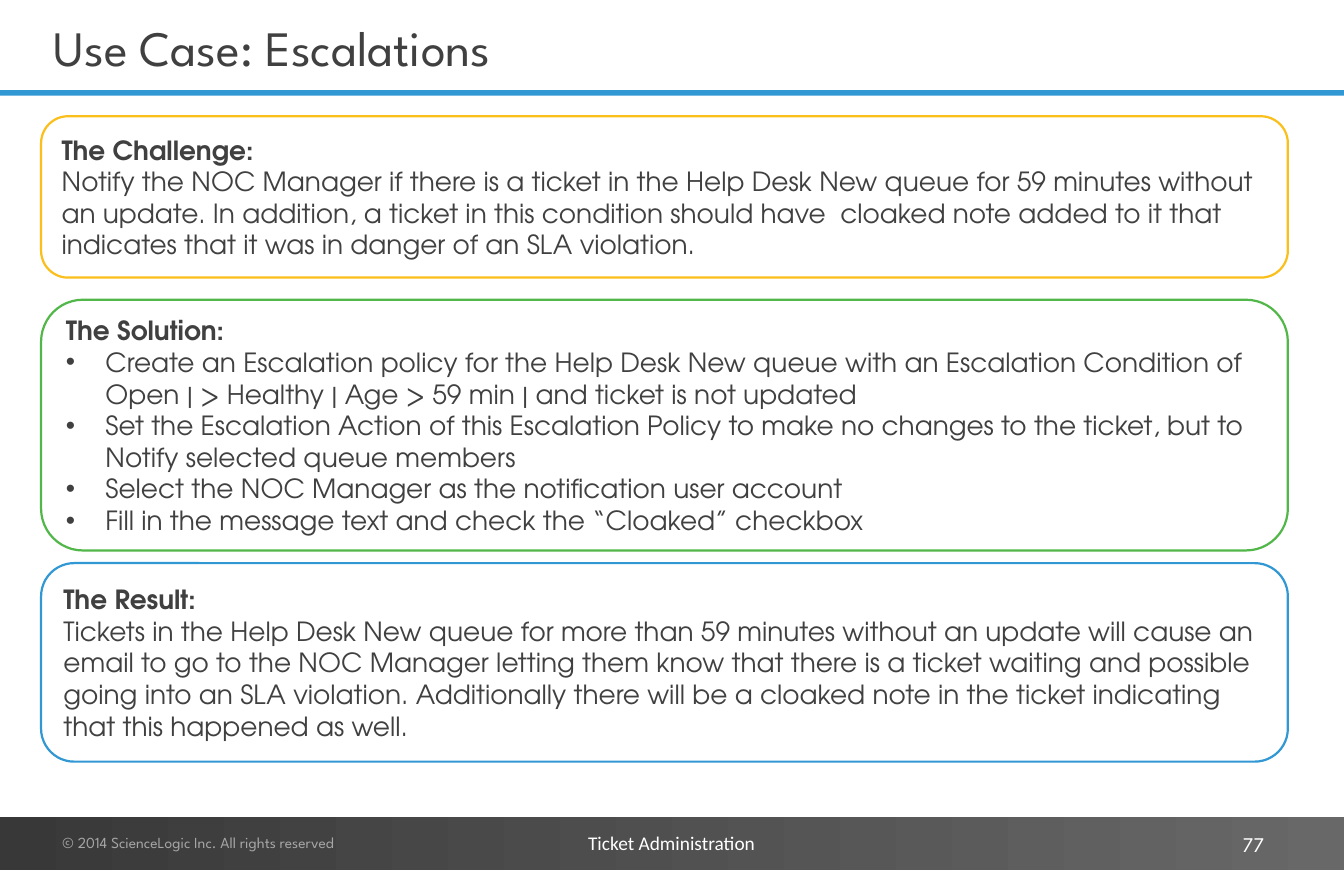
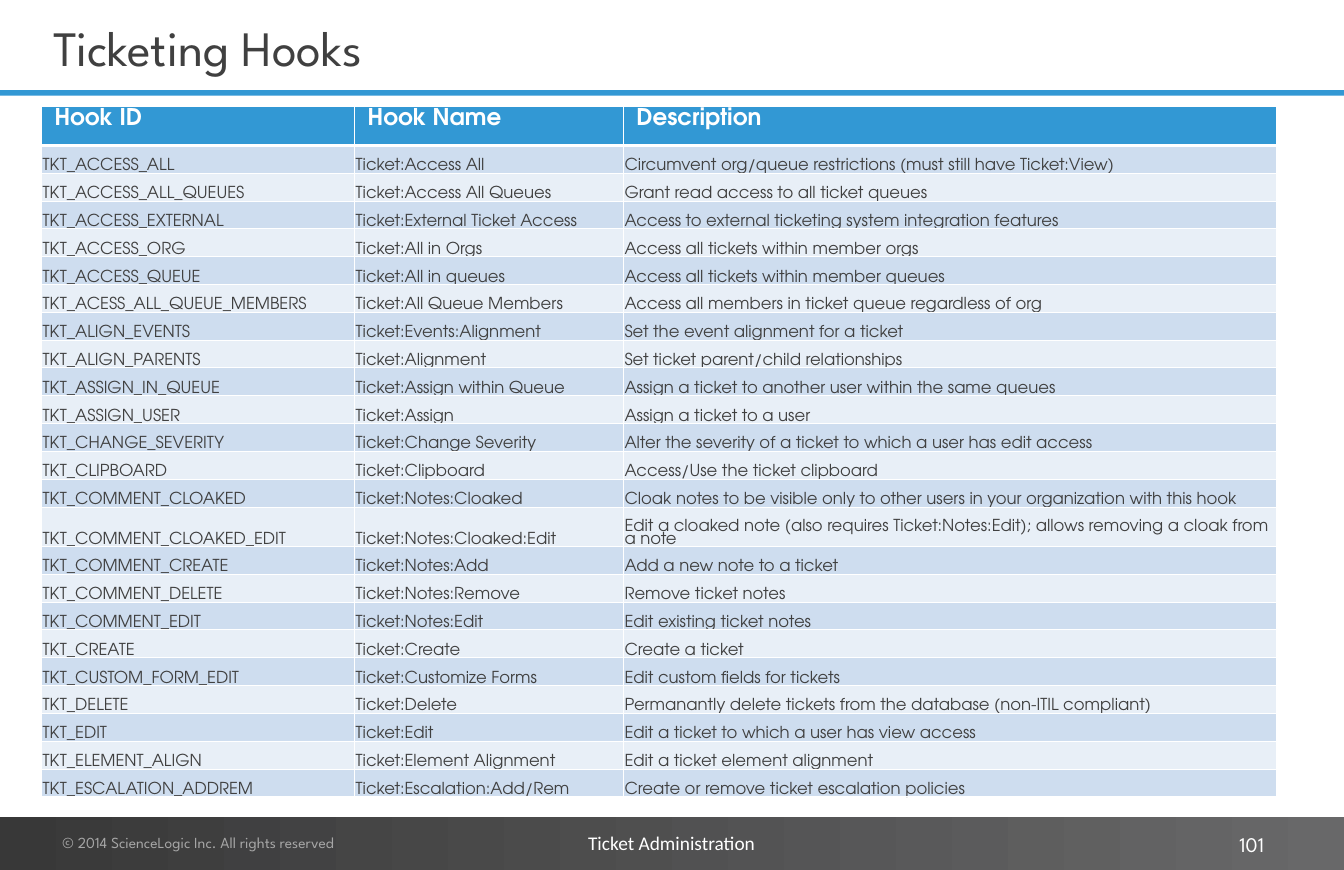
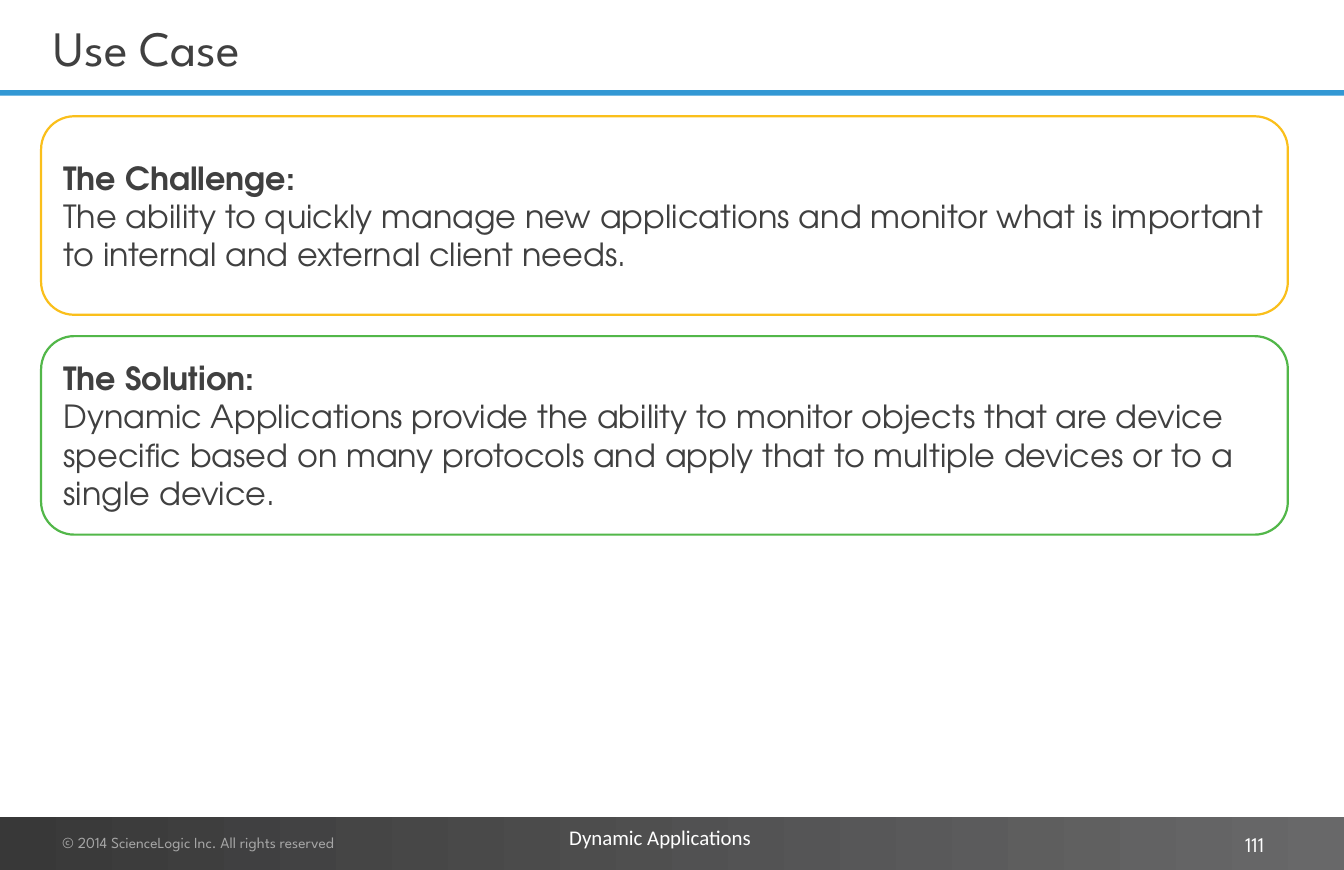
from lxml import etree
from pptx import Presentation
from pptx.dml.color import RGBColor
from pptx.enum.shapes import MSO_SHAPE
from pptx.enum.text import MSO_ANCHOR, MSO_AUTO_SIZE, PP_ALIGN
from pptx.oxml.ns import qn
from pptx.util import Emu, Pt

RECT, ROUND_RECT = MSO_SHAPE.RECTANGLE, MSO_SHAPE.ROUNDED_RECTANGLE
TOP, MIDDLE, BOTTOM = MSO_ANCHOR.TOP, MSO_ANCHOR.MIDDLE, MSO_ANCHOR.BOTTOM
LEFT, RIGHT = PP_ALIGN.LEFT, PP_ALIGN.RIGHT
FIT_NONE, FIT_SHAPE = MSO_AUTO_SIZE.NONE, MSO_AUTO_SIZE.SHAPE_TO_FIT_TEXT

PX = 9144  # EMU per px, 100 px to the inch
SLIDE_W, SLIDE_H = 1700, 1100
TITLE_LAYOUT = 5

COLORS = {
    "white": "FFFFFF", "text": "404040", "muted": "A6A6A6",
    "blue": "3298D4", "yellow": "FABF1B", "green": "52B749",
    "footer_start": "383838", "footer_end": "686869",
    "row_dark": "CEDDEF", "row_light": "E8EFF7",
}
TITLE_FONT, BODY_FONT, SECTION_FONT = "League Spartan", "TeX Gyre Adventor", "Calibri"

INSETS = (16, 8, 16, 8)
PANEL_LEFT, PANEL_W = 52, 1577
BULLET_INDENT = 50

COPYRIGHT = "© 2014 ScienceLogic Inc. All rights reserved"
TICKET_SECTION = {"text": "Ticket Administration", "at": (734, 1046, 233, 40),
                  "size": 17.6, "insets": (10, 5, 10, 5)}
APP_SECTION = {"text": "Dynamic Applications", "at": (704, 1035, 265, 48),
               "size": 19, "insets": INSETS}

ESCALATION_PANELS = [
    {"top": 147, "height": 204, "color": "yellow", "size": 24, "heading": "The Challenge:",
     "body": ["Notify the NOC Manager if there is a ticket in the Help Desk New queue for 59 minutes "
              "without an update. In addition, a ticket in this condition should have  cloaked note "
              "added to it that indicates that it was in danger of an SLA violation."]},
    {"top": 379, "height": 317, "color": "green", "size": 24, "heading": "The Solution:",
     "bulleted": True,
     "body": ["Create an Escalation policy for the Help Desk New queue with an Escalation Condition "
              "of Open | > Healthy | Age > 59 min | and ticket is not updated",
              "Set the Escalation Action of this Escalation Policy to make no changes to the ticket, "
              "but to Notify selected queue members",
              "Select the NOC Manager as the notification user account",
              "Fill in the message text and check the “Cloaked” checkbox"]},
    {"top": 712, "height": 251, "color": "blue", "size": 24, "heading": "The Result:",
     "body": ["Tickets in the Help Desk New queue for more than 59 minutes without an update will "
              "cause an email to go to the NOC Manager letting them know that there is a ticket "
              "waiting and possible going into an SLA violation. Additionally there will be a cloaked "
              "note in the ticket indicating that this happened as well."]},
]
APPLICATION_PANELS = [
    {"top": 147, "height": 251, "color": "yellow", "size": 29, "heading": "The Challenge:",
     "body": ["The ability to quickly manage new applications and monitor what is important to "
              "internal and external client needs."]},
    {"top": 425, "height": 251, "color": "green", "size": 29, "heading": "The Solution:",
     "body": ["Dynamic Applications provide the ability to monitor objects that are device specific "
              "based on many protocols and apply that to multiple devices or to a single device."]},
]

HOOK_HEADER = ("Hook ID", "Hook Name", "Description")
HOOKS = [
    ("TKT_ACCESS_ALL", "Ticket:Access All",
     "Circumvent org/queue restrictions (must still have Ticket:View)"),
    ("TKT_ACCESS_ALL_QUEUES", "Ticket:Access All Queues", "Grant read access to all ticket queues"),
    ("TKT_ACCESS_EXTERNAL", "Ticket:External Ticket Access",
     "Access to external ticketing system integration features"),
    ("TKT_ACCESS_ORG", "Ticket:All in Orgs", "Access all tickets within member orgs"),
    ("TKT_ACCESS_QUEUE", "Ticket:All in queues", "Access all tickets within member queues"),
    ("TKT_ACESS_ALL_QUEUE_MEMBERS", "Ticket:All Queue Members",
     "Access all members in ticket queue regardless of org"),
    ("TKT_ALIGN_EVENTS", "Ticket:Events:Alignment", "Set the event alignment for a ticket"),
    ("TKT_ALIGN_PARENTS", "Ticket:Alignment", "Set ticket parent/child relationships"),
    ("TKT_ASSIGN_IN_QUEUE", "Ticket:Assign within Queue",
     "Assign a ticket to another user within the same queues"),
    ("TKT_ASSIGN_USER", "Ticket:Assign", "Assign a ticket to a user"),
    ("TKT_CHANGE_SEVERITY", "Ticket:Change Severity",
     "Alter the severity of a ticket to which a user has edit access"),
    ("TKT_CLIPBOARD", "Ticket:Clipboard", "Access/Use the ticket clipboard"),
    ("TKT_COMMENT_CLOAKED", "Ticket:Notes:Cloaked",
     "Cloak notes to be visible only to other users in your organization with this hook"),
    ("TKT_COMMENT_CLOAKED_EDIT", "Ticket:Notes:Cloaked:Edit",
     "Edit a cloaked note (also requires Ticket:Notes:Edit); allows removing a cloak from a note"),
    ("TKT_COMMENT_CREATE", "Ticket:Notes:Add", "Add a new note to a ticket"),
    ("TKT_COMMENT_DELETE", "Ticket:Notes:Remove", "Remove ticket notes"),
    ("TKT_COMMENT_EDIT", "Ticket:Notes:Edit", "Edit existing ticket notes"),
    ("TKT_CREATE", "Ticket:Create", "Create a ticket"),
    ("TKT_CUSTOM_FORM_EDIT", "Ticket:Customize Forms", "Edit custom fields for tickets"),
    ("TKT_DELETE", "Ticket:Delete",
     "Permanantly delete tickets from the database (non-ITIL compliant)"),
    ("TKT_EDIT", "Ticket:Edit", "Edit a ticket to which a user has view access"),
    ("TKT_ELEMENT_ALIGN", "Ticket:Element Alignment", "Edit a ticket element alignment"),
    ("TKT_ESCALATION_ADDREM", "Ticket:Escalation:Add/Rem",
     "Create or remove ticket escalation policies"),
]
HOOK_COLUMNS = (396, 340, 827)
HOOK_LEFT, HOOK_TOP, HOOK_HEIGHT = 52, 135, 873
HEADER_ROW, TWO_LINE_ROW = 49, 50
TWO_LINE_HOOK = "TKT_COMMENT_CLOAKED_EDIT"
HEADER_CELL = {"size": 21, "color": "white", "bold": True, "anchor": TOP, "insets": (17, 7, 17, 7)}
HOOK_CELL = {"size": 15, "color": "text", "bold": False, "anchor": BOTTOM, "insets": (2, 2, 2, 0)}
TABLE_LINE_SPACING = 0.8

SLIDES = [
    {"title": "Use Case: Escalations", "number": "77", "section": TICKET_SECTION,
     "panels": ESCALATION_PANELS},
    {"title": "Ticketing Hooks", "number": "101", "section": TICKET_SECTION, "hooks": HOOKS},
    {"title": "Use Case", "number": "111", "section": APP_SECTION, "panels": APPLICATION_PANELS},
]


def px(length):
    return Emu(round(length * PX))


def box(*lengths):
    return [px(length) for length in lengths]


def rgb(name):
    return RGBColor.from_string(COLORS[name])


def set_insets(target, insets):
    target.margin_left, target.margin_top, target.margin_right, target.margin_bottom = box(*insets)


def frame_text(shape, anchor=TOP, insets=INSETS, wrap=True, fit=FIT_NONE):
    """Set the frame of a shape's text and return the frame."""
    frame = shape.text_frame
    frame.word_wrap, frame.auto_size, frame.vertical_anchor = wrap, fit, anchor
    set_insets(frame, insets)
    return frame


def write(paragraph, text, size, font, color, bold=False, align=LEFT):
    paragraph.alignment = align
    run = paragraph.add_run()
    run.text = text
    run.font.size, run.font.name, run.font.bold = Pt(size), font, bold
    run.font.color.rgb = rgb(color)


def add_bullet(paragraph):
    props = paragraph._p.get_or_add_pPr()
    props.set("marL", str(px(BULLET_INDENT)))
    props.set("indent", str(-px(BULLET_INDENT)))
    etree.SubElement(props, qn("a:buFont"), typeface="Arial")
    etree.SubElement(props, qn("a:buChar"), char="•")


def add_plain_shape(slide, preset, at):
    shape = slide.shapes.add_shape(preset, *box(*at))
    shape.shadow.inherit = False
    shape.line.fill.background()
    return shape


def add_label(slide, at, text, size, font, color, align=LEFT, **frame_options):
    label = slide.shapes.add_textbox(*box(*at))
    frame = frame_text(label, **frame_options)
    write(frame.paragraphs[0], text, size, font, color, align=align)


def add_frame(slide, title, number, section):
    """Add the title, blue rule and footer that every slide has."""
    rule = add_plain_shape(slide, RECT, (0, 114, SLIDE_W, 7))
    rule.fill.solid()
    rule.fill.fore_color.rgb = rgb("blue")

    footer = add_plain_shape(slide, RECT, (0, 1033, SLIDE_W, SLIDE_H - 1033))
    footer.fill.gradient()
    footer.fill.gradient_angle = 0
    for stop, color in zip(footer.fill.gradient_stops, ("footer_start", "footer_end")):
        stop.color.rgb = rgb(color)

    heading = slide.shapes.title
    heading.left, heading.top, heading.width, heading.height = box(52, 1, 1485, 117)
    frame = frame_text(heading, anchor=MIDDLE)
    write(frame.paragraphs[0], title, 45, TITLE_FONT, "text")

    add_label(slide, (63, 1046, 500, 40), COPYRIGHT, 14, TITLE_FONT, "muted", fit=FIT_SHAPE)
    add_label(slide, section["at"], section["text"], section["size"], SECTION_FONT, "white",
              insets=section["insets"], wrap=False, fit=FIT_SHAPE)
    add_label(slide, (1218, 1046, 397, 43), number, 19, TITLE_FONT, "white",
              align=RIGHT, anchor=MIDDLE)


def add_panel(slide, panel):
    outline = add_plain_shape(slide, ROUND_RECT,
                              (PANEL_LEFT, panel["top"], PANEL_W, panel["height"]))
    outline.fill.solid()
    outline.fill.fore_color.rgb = rgb("white")
    outline.line.color.rgb = rgb(panel["color"])
    outline.line.width = Pt(2)
    frame = frame_text(outline, anchor=MIDDLE)
    write(frame.paragraphs[0], panel["heading"], panel["size"], BODY_FONT, "text", bold=True)
    for text in panel["body"]:
        paragraph = frame.add_paragraph()
        if panel.get("bulleted"):
            add_bullet(paragraph)
        write(paragraph, text, panel["size"], BODY_FONT, "text")


def add_borders(cell, widths):
    """Draw white cell borders; widths maps a side (L, R, T, B) to points."""
    props = cell._tc.get_or_add_tcPr()
    for side, width in widths.items():
        line = etree.SubElement(props, qn(f"a:ln{side}"), w=str(Pt(width)))
        fill = etree.SubElement(line, qn("a:solidFill"))
        etree.SubElement(fill, qn("a:srgbClr"), val=COLORS["white"])


def fill_cell(cell, text, fill, style, borders):
    add_borders(cell, borders)
    cell.fill.solid()
    cell.fill.fore_color.rgb = rgb(fill)
    cell.vertical_anchor = style["anchor"]
    set_insets(cell, style["insets"])
    paragraph = cell.text_frame.paragraphs[0]
    paragraph.line_spacing = TABLE_LINE_SPACING
    write(paragraph, text, style["size"], BODY_FONT, style["color"], style["bold"])


def add_hook_table(slide, hooks):
    rows = [HOOK_HEADER] + hooks
    table = slide.shapes.add_table(
        len(rows), len(HOOK_COLUMNS),
        *box(HOOK_LEFT, HOOK_TOP, sum(HOOK_COLUMNS), HOOK_HEIGHT)).table
    table.horz_banding = False
    for column, width in zip(table.columns, HOOK_COLUMNS):
        column.width = px(width)

    hook_row = (HOOK_HEIGHT - HEADER_ROW - TWO_LINE_ROW) / (len(hooks) - 1)
    special_rows = {HOOK_HEADER[0]: HEADER_ROW, TWO_LINE_HOOK: TWO_LINE_ROW}
    for i, texts in enumerate(rows):
        table.rows[i].height = px(special_rows.get(texts[0], hook_row))
        style = HOOK_CELL if i else HEADER_CELL
        band = "row_dark" if i % 2 else "row_light"
        borders = {"L": 1, "R": 1, "T": 3 if i == 1 else 1, "B": 1 if i else 3}
        for j, text in enumerate(texts):
            fill_cell(table.cell(i, j), text, band if i else "blue", style, borders)


def main():
    deck = Presentation()
    deck.slide_width, deck.slide_height = box(SLIDE_W, SLIDE_H)
    for content in SLIDES:
        slide = deck.slides.add_slide(deck.slide_layouts[TITLE_LAYOUT])
        add_frame(slide, content["title"], content["number"], content["section"])
        for panel in content.get("panels", []):
            add_panel(slide, panel)
        if "hooks" in content:
            add_hook_table(slide, content["hooks"])
    deck.save("out.pptx")


if __name__ == "__main__":
    main()
